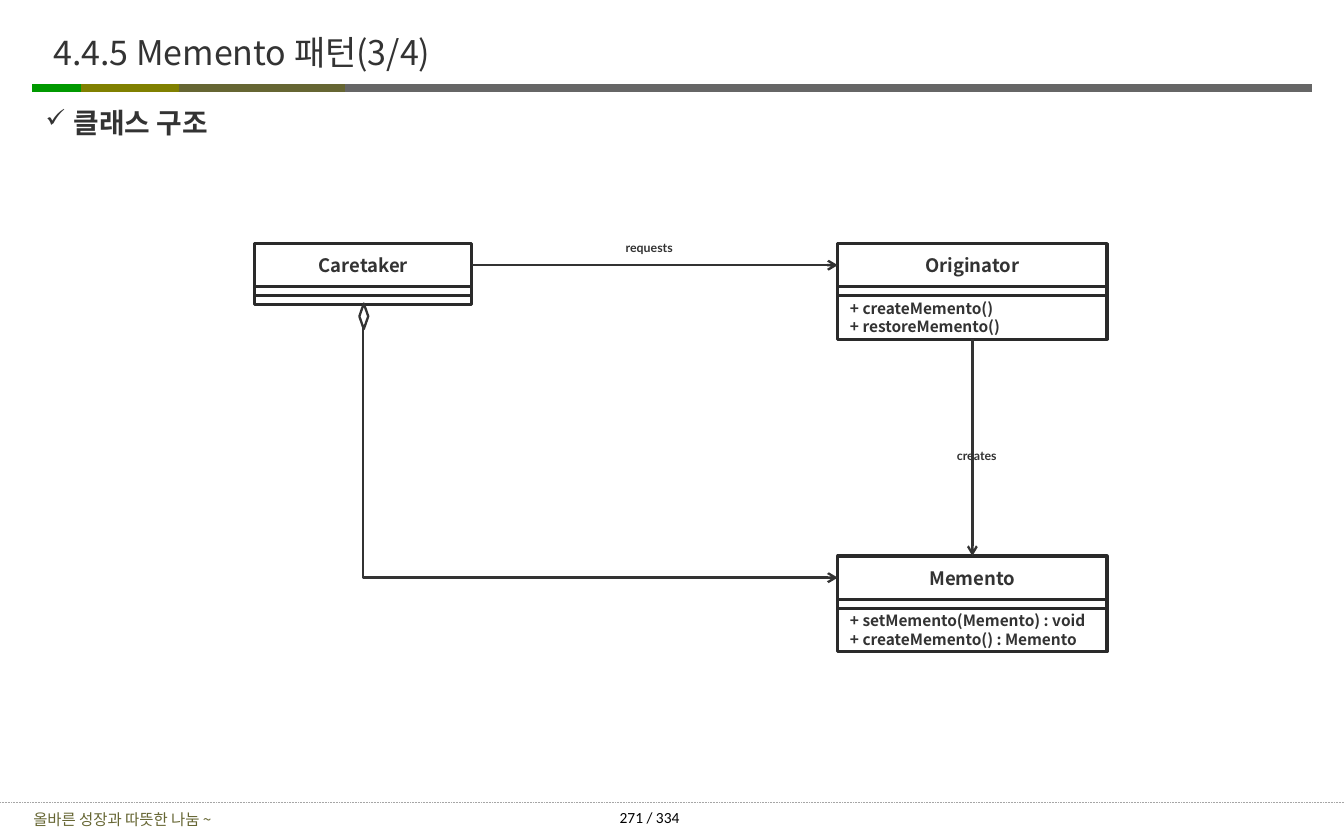
import pptx
import pptx.util
from pptx.dml.color import RGBColor
from pptx.enum.dml import MSO_LINE
from pptx.enum.shapes import MSO_CONNECTOR, MSO_SHAPE
from pptx.enum.text import MSO_ANCHOR, PP_ALIGN
from pptx.oxml import parse_xml
from pptx.oxml.ns import nsdecls, qn

PX = 9144  # 100 px to the inch
COLORS = {
    "ink": "333333", "border": "2A2A2A", "white": "FFFFFF", "black": "000000",
    "gray": "666666", "green": "009900", "olive": "808000", "moss": "666633",
    "rule": "A6A6A6",
}
NOTO, LATO, CALIBRI = "Noto Sans CJK KR", "Lato", "Calibri"
LEFT, CENTER = PP_ALIGN.LEFT, PP_ALIGN.CENTER
TOP, MIDDLE = MSO_ANCHOR.TOP, MSO_ANCHOR.MIDDLE
SIDE_LEFT, SIDE_BOTTOM, SIDE_RIGHT, SIDE_TOP = 1, 2, 3, 0


def color(name):
    return RGBColor.from_string(COLORS[name])


def write(shape, text, size=10, font=NOTO, ink="ink", bold=False, align=LEFT,
          anchor=MIDDLE, insets=(10, 5, 10, 5), wrap=True, bullet=None):
    frame = shape.text_frame
    frame.word_wrap = wrap
    frame.vertical_anchor = anchor
    (frame.margin_left, frame.margin_top,
     frame.margin_right, frame.margin_bottom) = [inset * PX for inset in insets]
    frame.text = text
    for paragraph in frame.paragraphs:
        paragraph.alignment = align
        if bullet:
            props = paragraph._p.get_or_add_pPr()
            props.set("marL", str(25 * PX))
            props.set("indent", str(-25 * PX))
            props.append(parse_xml(f'<a:buSzPct {nsdecls("a")} val="90000"/>'))
            props.append(parse_xml(f'<a:buChar {nsdecls("a")} char="{bullet}"/>'))
        for run in paragraph.runs:
            run.font.size = pptx.util.Pt(size)
            run.font.bold = bold
            run.font.name = font
            run.font.color.rgb = color(ink)
            run.font._element.find(qn("a:latin")).addnext(
                parse_xml(f'<a:ea {nsdecls("a")} typeface="{font}"/>'))


class PatternSlide:
    def __init__(self, deck):
        self.slide = deck.slides.add_slide(deck.slide_layouts[5])
        self.shapes = self.slide.shapes

    def title(self, text, x, y, w, h):
        title = self.shapes.title
        title.left, title.top, title.width, title.height = [v * PX for v in (x, y, w, h)]
        write(title, text, size=22, insets=(11, 6, 11, 6))

    def text(self, text, x, y, w, h, **style):
        box = self.shapes.add_textbox(x * PX, y * PX, w * PX, h * PX)
        write(box, text, **style)

    def box(self, x, y, w, h, kind=MSO_SHAPE.RECTANGLE, border="border", weight=2):
        shape = self.shapes.add_shape(kind, x * PX, y * PX, w * PX, h * PX)
        shape.shadow.inherit = False
        shape.fill.solid()
        shape.fill.fore_color.rgb = color("white")
        shape.line.color.rgb = color(border)
        shape.line.width = pptx.util.Pt(weight)
        return shape

    def uml_class(self, name, x, y, w, operations=()):
        """Stack name, attribute and operation compartments; return first and last."""
        header = self.box(x, y, w, 39)
        write(header, name, size=12, bold=True, align=CENTER, wrap=False)
        self.box(x, y + 39, w, 8)
        footer = self.box(x, y + 47, w, 39 if operations else 8)
        if operations:
            write(footer, "\n".join(operations), bold=True, insets=(11, 5, 11, 5), wrap=False)
        return header, footer

    def line(self, x1, y1, x2, y2, ink="ink", weight=1.5, kind=MSO_CONNECTOR.STRAIGHT):
        line = self.shapes.add_connector(kind, x1 * PX, y1 * PX, x2 * PX, y2 * PX)
        line.line.color.rgb = color(ink)
        line.line.width = pptx.util.Pt(weight)
        line._element.spPr.append(parse_xml(f'<a:effectLst {nsdecls("a")}/>'))
        return line

    def link(self, start, start_side, end, end_side, arrow="tailEnd",
             kind=MSO_CONNECTOR.STRAIGHT):
        line = self.line(0, 0, 0, 0, kind=kind)
        line.begin_connect(start, start_side)
        line.end_connect(end, end_side)
        line.line._get_or_add_ln().append(
            parse_xml(f'<a:{arrow} {nsdecls("a")} type="arrow"/>'))
        return line


def main():
    deck = pptx.Presentation()
    deck.slide_width, deck.slide_height = 1208 * PX, 750 * PX
    page = PatternSlide(deck)

    for start, end, ink in ((298, 1179, "gray"), (29, 109, "green"),
                            (73, 166, "olive"), (161, 310, "moss")):
        page.line(start, 79, end, 79, ink, 5)
    page.line(0, 722, 1208, 722, "rule", 0.5).line.dash_style = MSO_LINE.ROUND_DOT
    page.text("올바른 성장과 따뜻한 나눔 ~", 0, 724, 220, 26, ink="moss", align=CENTER)
    page.text("271 / 334", 525, 722, 123, 27, font=CALIBRI, ink="black",
              anchor=TOP, insets=(32, 5, 4, 5))

    page.title("4.4.5 Memento 패턴(3/4)", 37, 15, 1000, 63)
    page.text("클래스 구조", 37, 91, 1150, 123, size=18, bold=True, anchor=TOP,
              insets=(4, 4, 4, 4), bullet="✓")

    for label, x, y, w in (("requests", 549, 211, 69), ("creates", 840, 398, 76)):
        page.text(label, x, y, w, 24, size=8, font=LATO, bold=True, align=CENTER, anchor=TOP)

    caretaker, caretaker_base = page.uml_class("Caretaker", 229, 219, 195)
    originator, originator_base = page.uml_class(
        "Originator", 753, 219, 242, ("+ createMemento()", "+ restoreMemento()"))
    memento, _ = page.uml_class(
        "Memento", 753, 500, 242,
        ("+ setMemento(Memento) : void", "+ createMemento() : Memento"))

    page.link(caretaker, SIDE_RIGHT, originator, SIDE_LEFT)
    page.link(originator_base, SIDE_BOTTOM, memento, SIDE_TOP)
    aggregation = page.link(memento, SIDE_LEFT, caretaker_base, SIDE_BOTTOM,
                            arrow="headEnd", kind=MSO_CONNECTOR.ELBOW)
    aggregation._element.spPr.find(qn("a:prstGeom")).set("prst", "bentConnector2")
    page.box(323, 273, 8, 23, MSO_SHAPE.FLOWCHART_DECISION, "ink", 1.5)

    deck.save("out.pptx")


if __name__ == "__main__":
    main()
